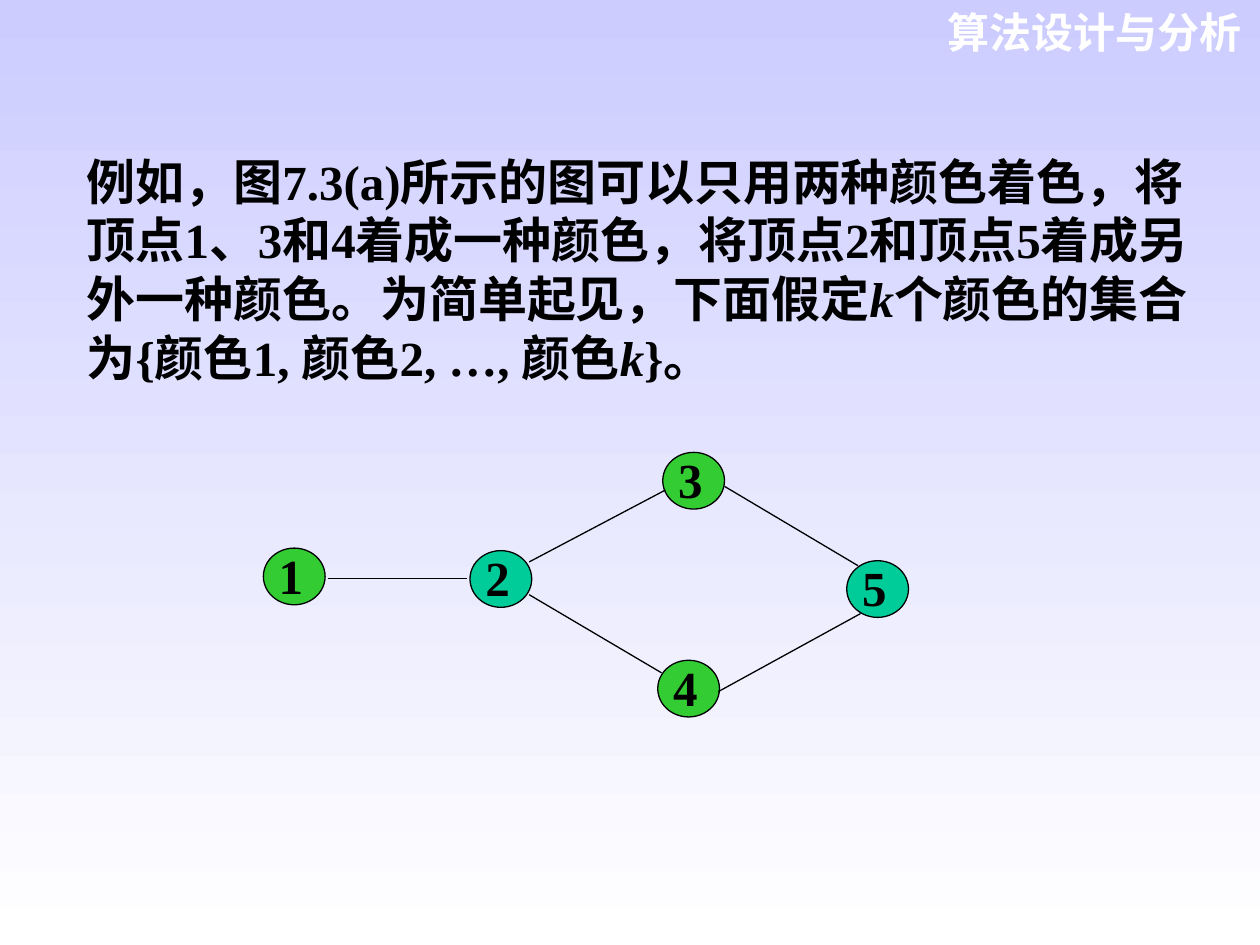
from pptx import Presentation
from pptx.dml.color import RGBColor
from pptx.enum.shapes import MSO_CONNECTOR, MSO_SHAPE
from pptx.enum.text import MSO_ANCHOR, MSO_AUTO_SIZE, PP_ALIGN
from pptx.oxml.ns import qn
from pptx.util import Inches, Pt
from lxml import etree

BLACK, WHITE, GREEN, TEAL = "000000", "FFFFFF", "33CC33", "00CC99"
SERIF = "Times New Roman"
NODE_W, NODE_H = 0.49, 0.45

# Offsets in inches from the top left corner of the graph
NODES = [
    ("1", 0, 0.76, GREEN),
    ("2", 1.64, 0.78, TEAL),
    ("3", 3.17, 0, GREEN),
    ("4", 3.13, 1.65, GREEN),
    ("5", 4.63, 0.86, TEAL),
]
EDGES = [
    (0.51, 1, 1.62, 1),
    (2.11, 0.87, 3.19, 0.3),
    (2.11, 1.13, 3.16, 1.75),
    (3.61, 1.9, 4.74, 1.28),
    (4.72, 0.9, 3.66, 0.27),
]
EXAMPLE = [
    ("例如，图7.3(a)所示的图可以只用两种颜色着色，将顶点1、3和4着成一种颜色，"
     "将顶点2和顶点5着成另外一种颜色。为简单起见，下面假定", False),
    ("k", True),
    ("个颜色的集合为{颜色1, 颜色2, …, 颜色", False),
    ("k", True),
    ("}。", False),
]


def rgb(color):
    return RGBColor.from_string(color)


def add_run(p, text, size, font=SERIF, color=BLACK, italic=False):
    r = p.add_run()
    r.text = text
    r.font.name = font
    r.font.size = Pt(size)
    r.font.bold = True
    r.font.italic = italic
    r.font.color.rgb = rgb(color)


def add_text(slide, x, y, w, h):
    """Add a wrapping text box and return its first paragraph."""
    sp = slide.shapes.add_textbox(Inches(x), Inches(y), Inches(w), Inches(h))
    tf = sp.text_frame
    tf.word_wrap = True
    tf.auto_size = MSO_AUTO_SIZE.SHAPE_TO_FIT_TEXT
    return tf.paragraphs[0]


def set_background(slide):
    fill = slide.background.fill
    fill.gradient()
    fill.gradient_angle = 270
    for stop, position, color in zip(fill.gradient_stops, (0, 1), ("CCCCFF", WHITE)):
        stop.position = position
        stop.color.rgb = rgb(color)


def add_course_name(slide, x, y, w, h):
    p = add_text(slide, x, y, w, h)
    p.alignment = PP_ALIGN.RIGHT
    add_run(p, "算法设计与分析", 24, "Arial", WHITE)


def add_example(slide, x, y, w, h):
    p = add_text(slide, x, y, w, h)
    for text, italic in EXAMPLE:
        add_run(p, text, 28, italic=italic)


def add_node(shapes, label, x, y, color):
    sp = shapes.add_shape(MSO_SHAPE.OVAL, Inches(x), Inches(y), Inches(NODE_W), Inches(NODE_H))
    sp.shadow.inherit = False
    sp.fill.solid()
    sp.fill.fore_color.rgb = rgb(color)
    sp.line.color.rgb = rgb(BLACK)
    sp.line.width = Pt(0.75)
    tf = sp.text_frame
    tf.margin_left = Inches(0.05)
    tf.margin_top = tf.margin_right = tf.margin_bottom = 0
    tf.vertical_anchor = MSO_ANCHOR.TOP
    p = tf.paragraphs[0]
    p.alignment = PP_ALIGN.JUSTIFY
    p.line_spacing = 0.8
    add_run(p, label, 28)


def add_edge(shapes, x1, y1, x2, y2):
    line = shapes.add_connector(MSO_CONNECTOR.STRAIGHT, Inches(x1), Inches(y1), Inches(x2), Inches(y2))
    line.line.color.rgb = rgb(BLACK)
    line.line.width = Pt(0.75)
    etree.SubElement(line._element.spPr, qn("a:effectLst"))


def add_graph(slide, x, y):
    shapes = slide.shapes.add_group_shape().shapes
    for label, dx, dy, color in NODES:
        add_node(shapes, label, x + dx, y + dy, color)
    for x1, y1, x2, y2 in EDGES:
        add_edge(shapes, x + x1, y + y1, x + x2, y + y2)


def main():
    prs = Presentation()
    prs.slide_width, prs.slide_height = Inches(10), Inches(7.5)
    s = prs.slides.add_slide(prs.slide_layouts[6])
    set_background(s)
    add_course_name(s, 7.24, 0, 2.71, 0.5)
    add_graph(s, 2.09, 3.59)
    add_example(s, 0.59, 1.15, 9.13, 1.97)
    prs.save("out.pptx")


if __name__ == "__main__":
    main()
